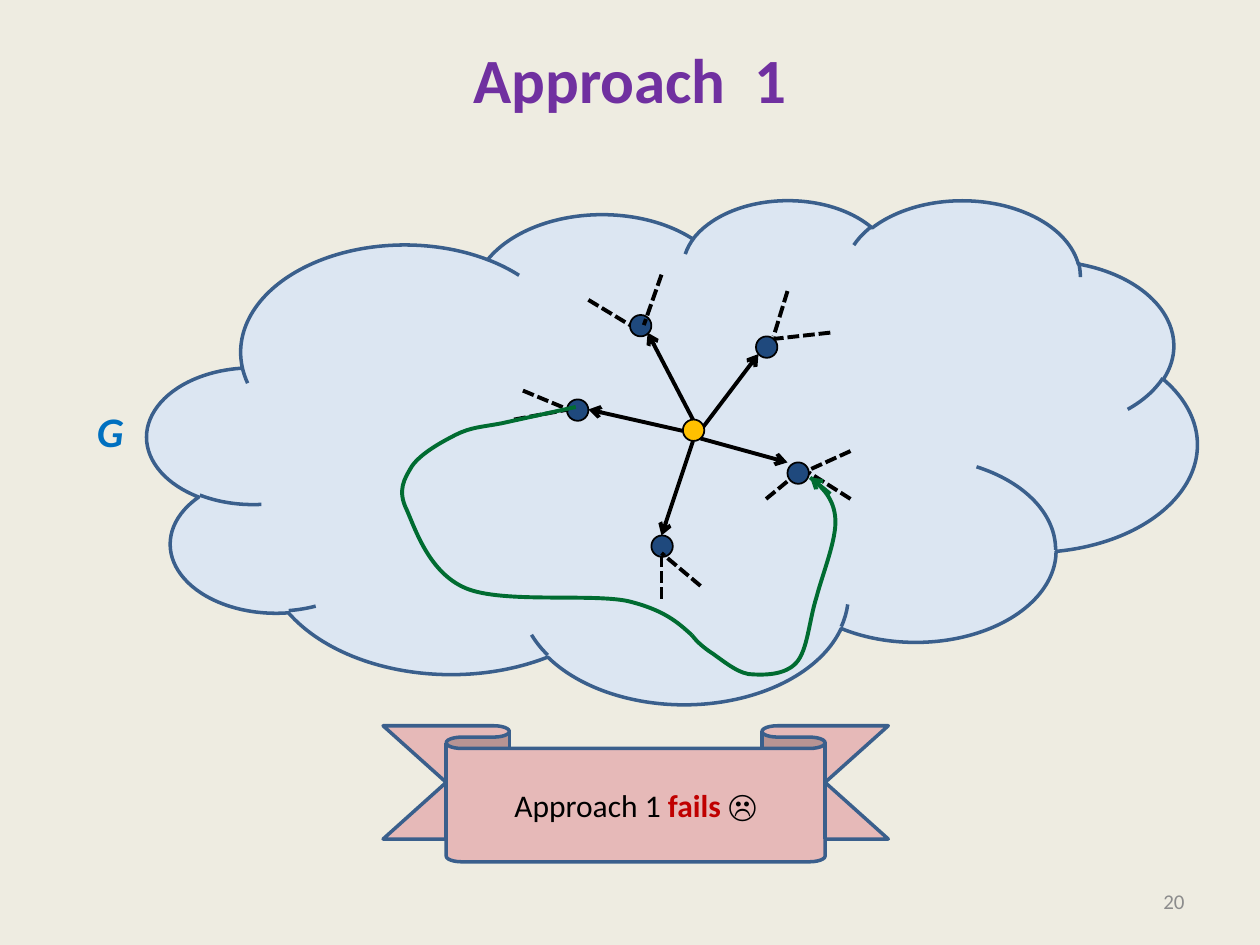
import copy
from typing import NamedTuple

import lxml.etree
import pptx
import pptx.dml.color
import pptx.enum.dml
import pptx.enum.shapes
import pptx.enum.text
import pptx.oxml.ns
import pptx.util

RGBColor = pptx.dml.color.RGBColor
Inches = pptx.util.Inches
Pt = pptx.util.Pt
Align = pptx.enum.text.PP_ALIGN
Anchor = pptx.enum.text.MSO_ANCHOR
Shape = pptx.enum.shapes.MSO_SHAPE
Dash = pptx.enum.dml.MSO_LINE
qn = pptx.oxml.ns.qn

CREAM = RGBColor(0xEE, 0xEC, 0xE1)
PALE = RGBColor(0xDC, 0xE6, 0xF2)
STEEL = RGBColor(0x3A, 0x5F, 0x8C)
NAVY = RGBColor(0x1F, 0x49, 0x7D)
GOLD = RGBColor(0xFF, 0xC0, 0x00)
GREEN = RGBColor(0x00, 0x6C, 0x31)
PINK = RGBColor(0xE6, 0xB9, 0xB8)
RED = RGBColor(0xC0, 0x00, 0x00)
PURPLE = RGBColor(0x70, 0x30, 0xA0)
BLUE = RGBColor(0x00, 0x70, 0xC0)
GRAY = RGBColor(0x8C, 0x8C, 0x8C)
BLACK = RGBColor(0, 0, 0)

DOT = 0.17


class Edge(NamedTuple):
    x1: float
    y1: float
    x2: float
    y2: float


class Node(NamedTuple):
    left: float
    top: float
    fill: RGBColor


class Trail(NamedTuple):
    """Straight points, then cubic curves of three points each."""
    lines: list[tuple[float, float]]
    curves: list[tuple[float, float]]


SPOKES = [
    Edge(5.42, 3.42, 4.67, 3.25),
    Edge(5.5, 3.5, 5.25, 4.25),
    Edge(5.56, 3.48, 6.25, 3.67),
    Edge(5.58, 3.39, 6.02, 2.81),
    Edge(5.5, 3.33, 5.14, 2.64),
]
NODES = [
    Node(5.42, 3.33, GOLD),
    Node(6, 2.67, NAVY),
    Node(6.25, 3.67, NAVY),
    Node(5.17, 4.25, NAVY),
    Node(4.5, 3.17, NAVY),
    Node(5, 2.5, NAVY),
]
STUBS = [
    Edge(6.59, 2.64, 6.14, 2.69),
    Edge(6.25, 2.31, 6.14, 2.67),
    Edge(6.75, 3.96, 6.42, 3.75),
    Edge(6.75, 3.58, 6.42, 3.73),
    Edge(5.25, 4.75, 5.25, 4.42),
    Edge(5.56, 4.65, 5.25, 4.39),
    Edge(4.08, 3.33, 4.51, 3.25),
    Edge(4.15, 3.1, 4.51, 3.25),
    Edge(4.67, 2.38, 5, 2.58),
    Edge(5.25, 2.18, 5.11, 2.58),
]
TRAILS = [
    Trail([(4.57, 3.23), (3.98, 3.36)], [
        (3.82, 3.39), (3.74, 3.39), (3.62, 3.45),
        (3.5, 3.51), (3.34, 3.6), (3.27, 3.7),
        (3.21, 3.8), (3.15, 3.89), (3.23, 4.05),
        (3.3, 4.21), (3.41, 4.55), (3.7, 4.67),
        (3.99, 4.79), (4.68, 4.71), (4.98, 4.77),
        (5.27, 4.84), (5.38, 4.94), (5.49, 5.04)]),
    Trail([(5.49, 5.04)], [
        (5.52, 5.08), (5.56, 5.12), (5.63, 5.17),
        (5.71, 5.22), (5.83, 5.33), (5.94, 5.35),
        (6.06, 5.36), (6.23, 5.36), (6.32, 5.26),
        (6.41, 5.16), (6.42, 4.93), (6.48, 4.74),
        (6.53, 4.55), (6.64, 4.28), (6.63, 4.12),
        (6.62, 3.96), (6.53, 3.87), (6.43, 3.79)]),
]
TIP = Edge(6.59, 3.92, 6.43, 3.79)
LAST = Edge(6.08, 3.96, 6.25, 3.82)


def write(shape, text: str, size: float, color: RGBColor, bold: bool = False,
          italic: bool = False, align=Align.LEFT, anchor=Anchor.TOP,
          wrap: bool = True, feed: bool = False) -> None:
    """Add a run to the first paragraph; feed ends it with a line break."""
    frame = shape.text_frame
    frame.word_wrap = wrap
    frame.vertical_anchor = anchor
    para = frame.paragraphs[0]
    para.alignment = align
    run = para.add_run()
    run.text = text
    font = run.font
    font.name, font.size = "Calibri", Pt(size)
    font.bold, font.italic = bold, italic
    font.color.rgb = color
    if feed:
        para.add_line_break()
        look = run._r.find(qn("a:rPr"))
        para._p[-1].append(copy.deepcopy(look))
        lxml.etree.SubElement(para._p, qn("a:endParaRPr"), dict(look.attrib))


def add_form(slide, kind, box: tuple, fill: RGBColor, line: RGBColor,
             width: float):
    form = slide.shapes.add_shape(kind, *map(Inches, box))
    form.shadow.inherit = False
    form.fill.solid()
    form.fill.fore_color.rgb = fill
    form.line.color.rgb = line
    form.line.width = Pt(width)
    return form


def add_edge(slide, edge: Edge, color: RGBColor = BLACK, arrow: bool = False,
             dash: bool = False) -> None:
    link = slide.shapes.add_connector(
        pptx.enum.shapes.MSO_CONNECTOR.STRAIGHT, *map(Inches, edge))
    link.line.color.rgb = color
    link.line.width = Pt(2.25)
    if dash:
        link.line.dash_style = Dash.SQUARE_DOT
    props = link._element.spPr
    if arrow:
        lxml.etree.SubElement(props.find(qn("a:ln")), qn("a:tailEnd"),
                              type="arrow")
    lxml.etree.SubElement(props, qn("a:effectLst"))


def add_trail(slide, trail: Trail) -> None:
    points = [(Inches(x), Inches(y)) for x, y in trail.lines + trail.curves]
    pen = slide.shapes.build_freeform(*points[0])
    pen.add_line_segments(points[1:], close=False)
    form = pen.convert_to_shape()
    form.shadow.inherit = False
    form.fill.background()
    form.line.color.rgb = GREEN
    form.line.width = Pt(2.25)
    # Turn each three points after the straight part into one curve
    route = next(form._element.iter(qn("a:path")))
    bends = route.findall(qn("a:lnTo"))[len(trail.lines) - 1:]
    for i in range(0, len(bends), 3):
        curve = lxml.etree.SubElement(route, qn("a:cubicBezTo"))
        for bend in bends[i:i + 3]:
            curve.append(bend[0])
            route.remove(bend)


def add_box(slide, box: tuple):
    return slide.shapes.add_textbox(*map(Inches, box))


def main() -> None:
    deck = pptx.Presentation()
    deck.slide_width, deck.slide_height = Inches(10), Inches(7.5)
    slide = deck.slides.add_slide(deck.slide_layouts[5])
    slide.background.fill.solid()
    slide.background.fill.fore_color.rgb = CREAM

    # Title and page number
    title = slide.shapes.title
    title.left, title.top = Inches(0.5), Inches(0.3)
    title.width, title.height = Inches(9), Inches(1.25)
    write(title, "Approach  1", 36, PURPLE, bold=True, align=Align.CENTER,
          anchor=Anchor.MIDDLE, feed=True)
    write(add_box(slide, (7.17, 6.95, 2.33, 0.4)), "20", 12, GRAY,
          align=Align.RIGHT, anchor=Anchor.MIDDLE)

    # Graph inside the cloud
    add_form(slide, Shape.CLOUD, (1.17, 1.58, 8.33, 4), PALE, STEEL, 2)
    for edge in SPOKES:
        add_edge(slide, edge, arrow=True)
    for node in NODES:
        add_form(slide, Shape.OVAL, (node.left, node.top, DOT, DOT),
                 node.fill, BLACK, 1)
    for edge in STUBS:
        add_edge(slide, edge, dash=True)
    write(add_box(slide, (0.67, 3.17, 0.42, 0.5)), "G", 24, BLUE, bold=True,
          italic=True, wrap=False)

    # Long way round between two nodes
    for trail in TRAILS:
        add_trail(slide, trail)
    add_edge(slide, TIP, GREEN, arrow=True)
    add_edge(slide, LAST, dash=True)

    # Verdict
    banner = add_form(slide, Shape.DOWN_RIBBON, (3.04, 5.76, 4.01, 1.08),
                      PINK, STEEL, 2)
    banner.adjustments[0], banner.adjustments[1] = 0.167, 0.75
    for text, color, bold in (("Approach 1 ", BLACK, False),
                              ("fails ", RED, True), ("☹", BLACK, False)):
        write(banner, text, 18, color, bold=bold, align=Align.CENTER,
              anchor=Anchor.MIDDLE)

    deck.save("out.pptx")


if __name__ == "__main__":
    main()
